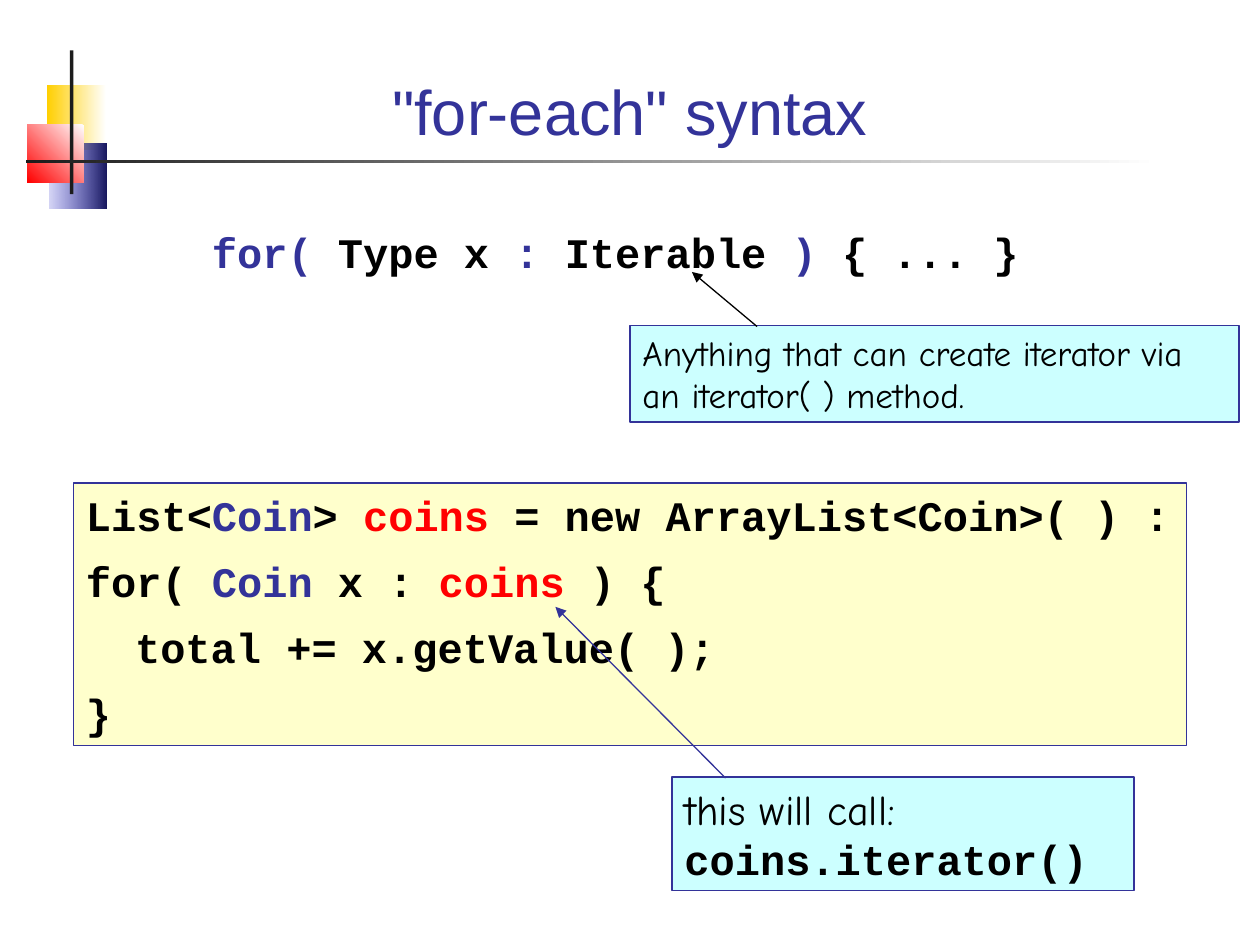
from pptx import Presentation
from pptx.dml.color import RGBColor
from pptx.enum.shapes import MSO_CONNECTOR, MSO_SHAPE
from pptx.enum.text import MSO_ANCHOR, PP_ALIGN
from pptx.oxml.ns import qn
from pptx.util import Inches, Pt
from lxml import etree

RECT = MSO_SHAPE.RECTANGLE
LINE = MSO_CONNECTOR.STRAIGHT
TOP, BASE = MSO_ANCHOR.TOP, MSO_ANCHOR.BOTTOM
LEFT, MID = PP_ALIGN.LEFT, PP_ALIGN.CENTER

BLUE, RED, BLACK = "333399", "FF0000", "000000"
CREAM, AQUA = "FFFFCC", "CCFFFF"
WHITE, DARK = "FFFFFF", "1C1C1C"
SANS, HAND, CODE = "Arial", "Comic Neue", "Courier New"


def cell(n):
    """Length of n grid cells: the slide is 120 columns by 90 rows."""
    return Inches(n / 12)


def hue(code):
    return RGBColor.from_string(code)


class Deck:
    def __init__(self):
        self.prs = Presentation()
        self.prs.slide_width, self.prs.slide_height = cell(120), cell(90)
        self.slide = self.prs.slides.add_slide(self.prs.slide_layouts[5])
        self.shapes = self.slide.shapes

    def run(self, par, text, color=BLACK, font=CODE, size=24, bold=True):
        run = par.add_run()
        run.text = text
        run.font.name, run.font.size, run.font.bold = font, Pt(size), bold
        run.font.color.rgb = hue(color)

    def frame(self, shape, anchor):
        frame = shape.text_frame
        frame.word_wrap = True
        frame.vertical_anchor = anchor
        frame.margin_left = frame.margin_right = Inches(0.1)
        frame.margin_top = frame.margin_bottom = Inches(0.05)
        return frame

    def title(self, text, *box):
        shape = self.shapes.title
        shape.left, shape.top, shape.width, shape.height = map(cell, box)
        par = self.frame(shape, BASE).paragraphs[0]
        par.alignment = MID
        self.run(par, text, BLUE, SANS, 36, False)
        # Bring the title in front of the ornament
        self.shapes._spTree.append(shape._element)

    def rect(self, box, fill, line=None):
        shape = self.shapes.add_shape(RECT, *map(cell, box))
        shape.shadow.inherit = False
        shape.fill.solid()
        shape.fill.fore_color.rgb = hue(fill)
        if line:
            shape.line.color.rgb = hue(line)
            shape.line.width = Pt(0.75)
        else:
            shape.line.fill.background()
        return shape

    def fade(self, box, start, end, angle=180, alpha=None):
        shape = self.rect(box, end)
        shape.fill.gradient()
        shape.fill.gradient_angle = angle
        stops = shape.fill.gradient_stops
        for stop, code, pos in zip(stops, (start, end), (0, 1)):
            stop.color.rgb = hue(code)
            stop.position = pos
        if alpha:
            last = shape._element.spPr.findall(".//" + qn("a:srgbClr"))[-1]
            etree.SubElement(last, qn("a:alpha")).set("val", str(alpha * 1000))

    def text(self, shape, rows, gap=0, indent=None):
        """Fill a shape; rows are lists of run arguments."""
        frame = self.frame(shape, TOP)
        for i, row in enumerate(rows):
            par = frame.add_paragraph() if i else frame.paragraphs[0]
            par.alignment = LEFT
            if i:
                par.space_before = Pt(gap)
            if indent and i in indent:
                par._p.get_or_add_pPr().set("marL", str(Inches(indent[i])))
            for part in row:
                self.run(par, *part)

    def plain(self, box):
        return self.shapes.add_textbox(*map(cell, box))

    def arrow(self, ends, color):
        line = self.shapes.add_connector(LINE, *map(cell, ends))
        line.line.color.rgb = hue(color)
        line.line.width = Pt(0.75)
        stroke = line.line._get_or_add_ln()
        etree.SubElement(stroke, qn("a:tailEnd")).set("type", "triangle")
        etree.SubElement(line._element.spPr, qn("a:effectLst"))


def main():
    deck = Deck()

    # Corner ornament and rule
    deck.fade((4.5, 8.1, 5.6, 6.2), WHITE, "FFCF01")
    deck.fade((4.7, 13.7, 5.4, 6.2), "17175E", "3333CC", alpha=20)
    deck.fade((2.6, 11.9, 5.4, 5.5), WHITE, RED, angle=225)
    deck.rect((6.65, 4.8, 0.35, 13.7), DARK)
    deck.fade((2.5, 15.2, 107.9, 0.35), WHITE, DARK)

    deck.title('"for-each" syntax', 8, 3.3, 104, 11.4)

    # Code sample
    sample = [
        [("List<",), ("Coin", BLUE), ("> ",), ("coins", RED),
         (" = new ArrayList<Coin>( ) :",)],
        [("for( ",), ("Coin", BLUE), (" x : ",), ("coins", RED), (" ) {",)],
        [("total += x.getValue( );",)],
        [("}",)],
    ]
    panel = deck.rect((7, 46, 106, 25), CREAM, BLUE)
    deck.text(panel, sample, gap=9, indent={2: 0.39})

    # General form
    form = [[("for(", BLUE), (" Type x ",), (":", BLUE), (" Iterable ",),
             (")", BLUE), (" { ... }",)]]
    deck.text(deck.plain((7, 21, 105, 6)), form, indent={0: 1})

    # Notes with their arrows
    call = [[("this will call: ", BLACK, HAND, 24, False),
             ("coins.iterator()",)]]
    deck.text(deck.rect((64, 74, 44, 10.8), AQUA, BLUE), call)
    deck.arrow((69.1, 74.1, 52.9, 57.8), BLUE)

    hint = [[("Anything that can create iterator via an iterator( ) method.",
              BLACK, HAND, 20, False)]]
    deck.text(deck.rect((60, 31, 58, 9.2), AQUA, BLUE), hint)
    deck.arrow((72.1, 31.1, 65.9, 25.9), BLACK)

    deck.prs.save("out.pptx")


if __name__ == "__main__":
    main()
